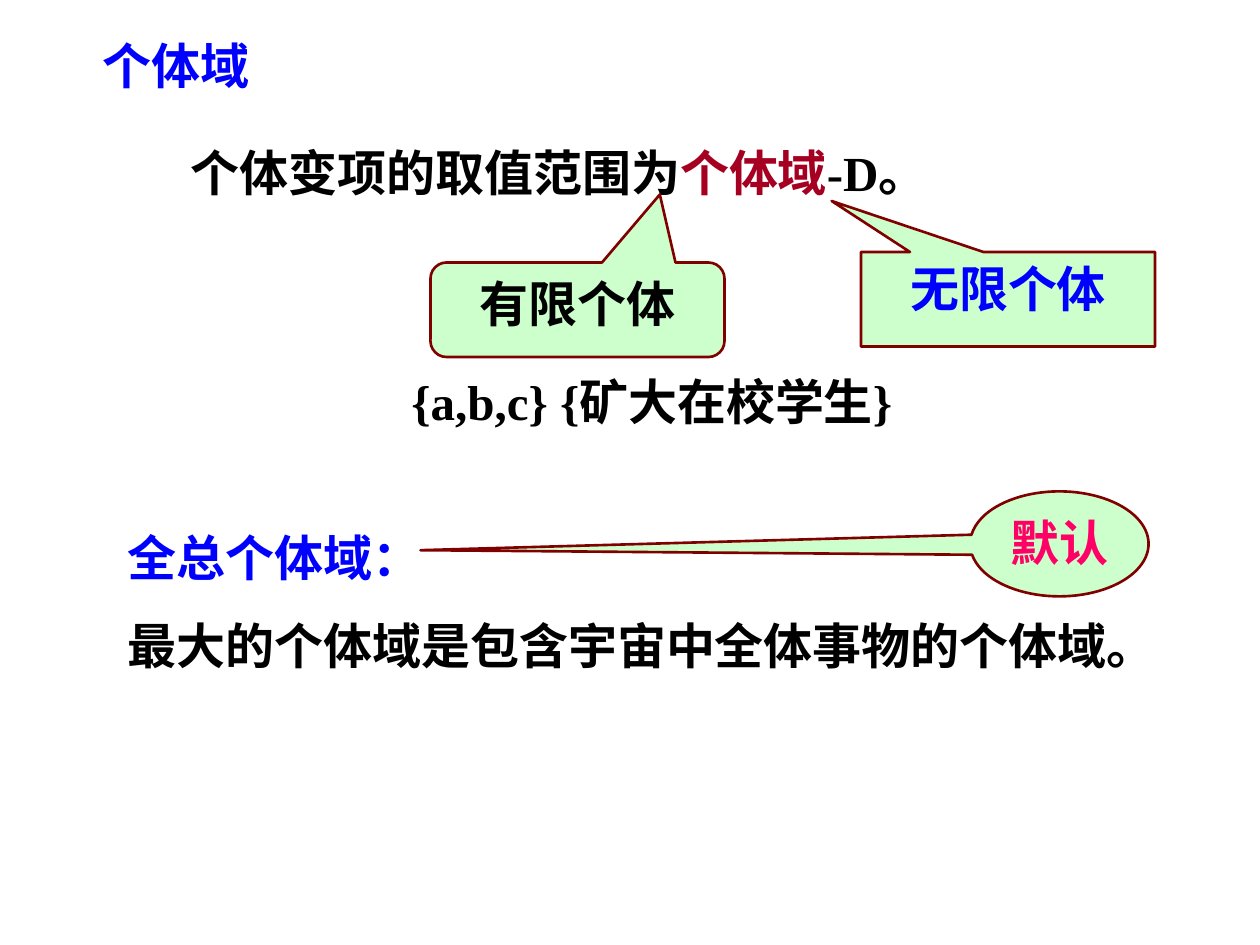
from dataclasses import dataclass

import pptx
import pptx.dml.color
import pptx.enum.shapes
import pptx.enum.text
import pptx.util

SHAPE = pptx.enum.shapes.MSO_SHAPE
ALIGN = pptx.enum.text.PP_ALIGN
Run = tuple[str, str]  # wording, colour


@dataclass(frozen=True)
class Theme:
    font: str = "Times New Roman"
    size: int = 28
    line_width: float = 1.5
    black: str = "000000"
    blue: str = "0000FF"
    crimson: str = "A50021"
    pink: str = "FF0066"
    fill: str = "CCFFCC"
    outline: str = "800000"


@dataclass(frozen=True)
class Box:
    """Place on a grid of 120 columns by 90 rows."""
    col: float
    row: float
    cols: float
    rows: float

    def lengths(self) -> list[pptx.util.Emu]:
        unit = pptx.util.Inches(10) / 120
        return [pptx.util.Emu(round(n * unit))
                for n in (self.col, self.row, self.cols, self.rows)]


@dataclass(frozen=True)
class TextBlock:
    box: Box
    paragraphs: list[list[Run]]
    spacing: float = 1.0


@dataclass(frozen=True)
class Callout:
    kind: SHAPE
    box: Box
    adjustments: tuple[float, ...]
    text: str
    color: str


THEME = Theme()
LINE_ROWS = 6.84

TEXTS = [
    # Definition
    TextBlock(Box(17, 13, 77, LINE_ROWS),
              [[("个体变项的取值范围为", THEME.black),
                ("个体域", THEME.crimson), ("-D。", THEME.black)]]),
    # Finite examples
    TextBlock(Box(38, 34.8, 49.3, LINE_ROWS),
              [[("{a,b,c} {矿大在校学生}", THEME.black)]]),
    # Universal domain
    TextBlock(Box(11, 46.8, 102, 18.6),
              [[("全总个体域：", THEME.blue)],
               [("最大的个体域是包含宇宙中全体事物的个体域。", THEME.black)]], 1.5),
    # Heading
    TextBlock(Box(8.6, 2.8, 25.3, LINE_ROWS), [[("个体域", THEME.blue)]]),
]

CALLOUTS = [
    Callout(SHAPE.ROUNDED_RECTANGULAR_CALLOUT, Box(41, 25, 28, 9),
            (0.28, -1.22, 0.17), "有限个体", THEME.black),
    Callout(SHAPE.RECTANGULAR_CALLOUT, Box(82, 24, 28, 9),
            (-0.6, -1.04), "无限个体", THEME.blue),
    Callout(SHAPE.OVAL_CALLOUT, Box(92.4, 46.8, 17, 10),
            (-3.58, 0.06), "默认", THEME.pink),
]


def rgb(value: str) -> pptx.dml.color.RGBColor:
    return pptx.dml.color.RGBColor.from_string(value)


def write_text(sp, paragraphs: list[list[Run]], *, align=ALIGN.LEFT,
               spacing: float = 1.0) -> None:
    tf = sp.text_frame
    tf.word_wrap = True
    tf.vertical_anchor = pptx.enum.text.MSO_ANCHOR.TOP
    for i, runs in enumerate(paragraphs):
        p = tf.add_paragraph() if i else tf.paragraphs[0]
        p.alignment = align
        p.line_spacing = spacing
        for text, color in runs:
            r = p.add_run()
            r.text = text
            r.font.name = THEME.font
            r.font.size = pptx.util.Pt(THEME.size)
            r.font.bold = True
            r.font.color.rgb = rgb(color)


def draw_text(s, block: TextBlock) -> None:
    sp = s.shapes.add_textbox(*block.box.lengths())
    write_text(sp, block.paragraphs, spacing=block.spacing)


def draw_callout(s, callout: Callout) -> None:
    sp = s.shapes.add_shape(callout.kind, *callout.box.lengths())
    for i, value in enumerate(callout.adjustments):
        sp.adjustments[i] = value
    sp.shadow.inherit = False
    sp.fill.solid()
    sp.fill.fore_color.rgb = rgb(THEME.fill)
    sp.line.color.rgb = rgb(THEME.outline)
    sp.line.width = pptx.util.Pt(THEME.line_width)
    write_text(sp, [[(callout.text, callout.color)]], align=ALIGN.CENTER)


def main() -> None:
    prs = pptx.Presentation()
    prs.slide_width = pptx.util.Inches(10)
    prs.slide_height = pptx.util.Inches(7.5)
    s = prs.slides.add_slide(prs.slide_layouts[6])
    for block in TEXTS:
        draw_text(s, block)
    for callout in CALLOUTS:
        draw_callout(s, callout)
    prs.save("out.pptx")


if __name__ == "__main__":
    main()
